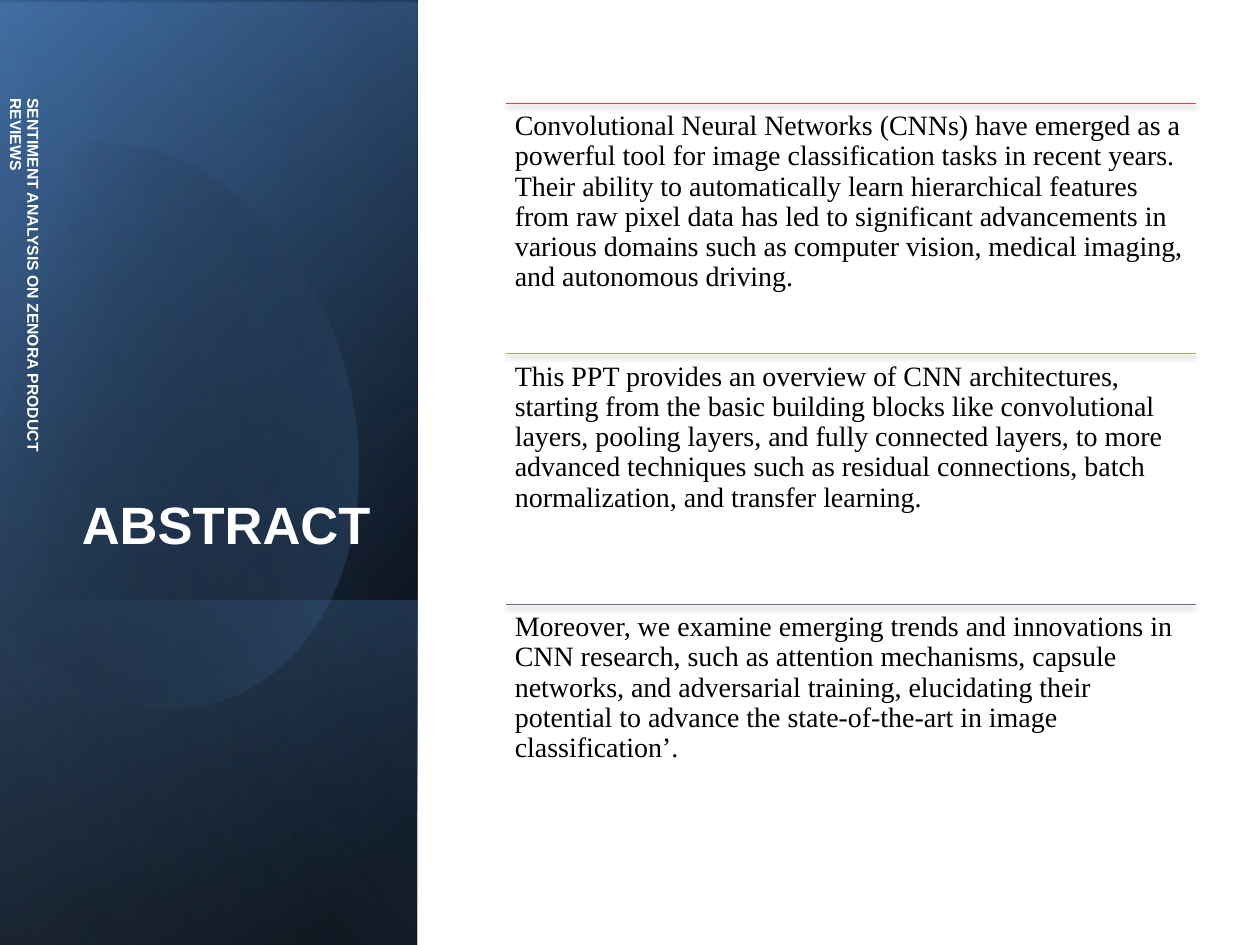
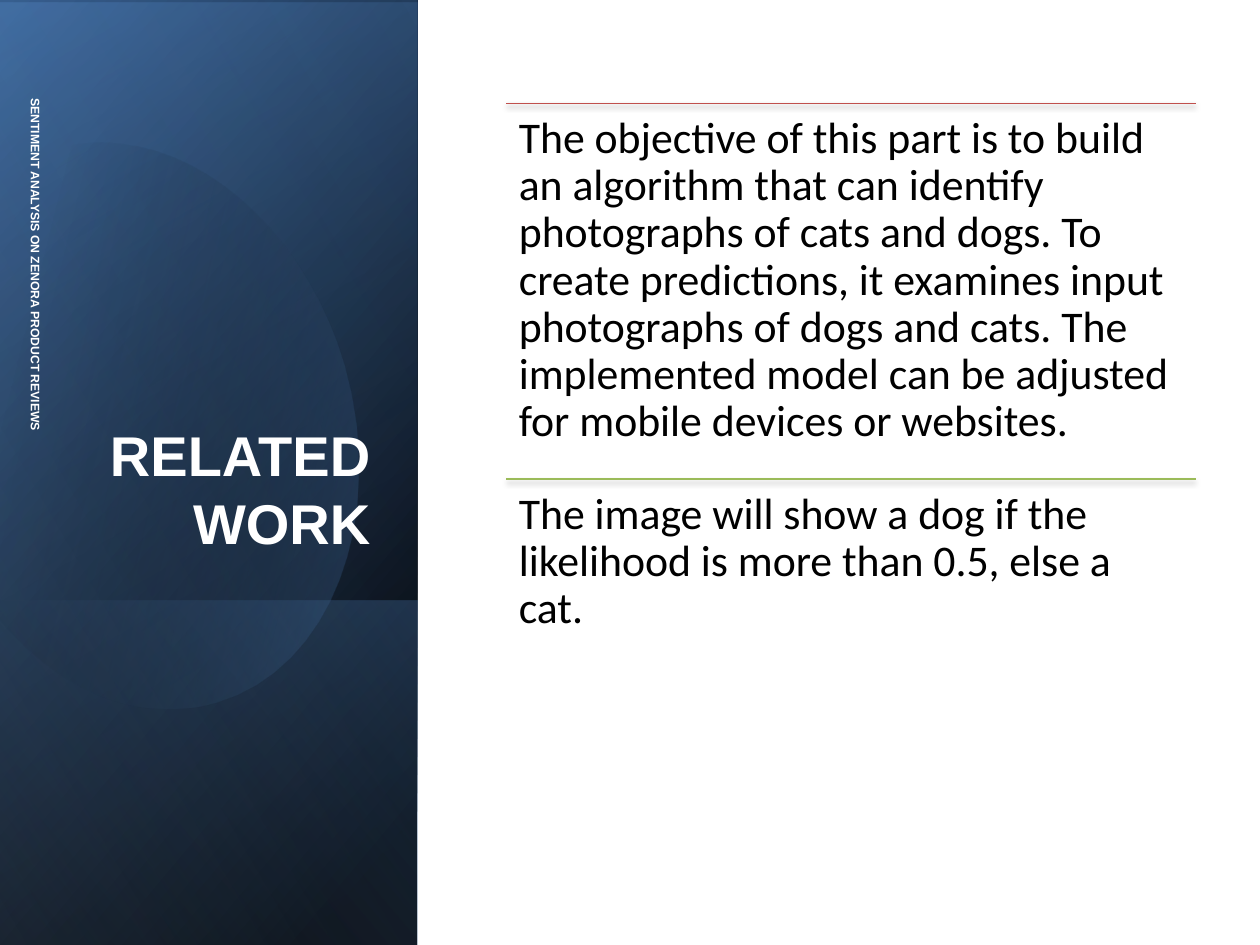
from math import cos, sin, radians
from lxml.etree import SubElement
from pptx import Presentation
from pptx.dml.color import RGBColor
from pptx.enum.shapes import MSO_CONNECTOR, MSO_SHAPE
from pptx.enum.text import MSO_ANCHOR, PP_ALIGN
from pptx.oxml import parse_xml
from pptx.oxml.ns import nsdecls, qn
from pptx.util import Cm, Pt

# Content
SIDE = "SENTIMENT ANALYSIS ON ZENORA PRODUCT REVIEWS"
SLIDES = [
    {"title": "ABSTRACT", "size": 30, "side": 9, "shift": 0,
     "font": "Times New Roman", "body": 16, "inset": 0.17,
     "rows": [
         "Convolutional Neural Networks (CNNs) have emerged as a powerful tool for "
         "image classification tasks in recent years. Their ability to automatically "
         "learn hierarchical features from raw pixel data has led to significant "
         "advancements in various domains such as computer vision, medical imaging, "
         "and autonomous driving.",
         "This PPT provides an overview of CNN architectures, starting from the basic "
         "building blocks like convolutional layers, pooling layers, and fully "
         "connected layers, to more advanced techniques such as residual connections, "
         "batch normalization, and transfer learning.",
         "Moreover, we examine emerging trends and innovations in CNN research, such "
         "as attention mechanisms, capsule networks, and adversarial training, "
         "elucidating their potential to advance the state-of-the-art in image "
         "classification’."]},
    {"title": "RELATED WORK", "size": 32, "side": 7, "shift": 0.22,
     "font": "Calibri", "body": 25, "inset": 0.25,
     "rows": [
         "The objective of this part is to build an algorithm that can identify "
         "photographs of cats and dogs. To create predictions, it examines input "
         "photographs of dogs and cats. The implemented model can be adjusted for "
         "mobile devices or websites.",
         "The image will show a dog if the likelihood is more than 0.5, else a cat."]},
]

# Shared style
HUES = {"black": "000000", "white": "FFFFFF", "navy": "376092", "blue": "4F81BD",
        "pale": "95B3D7", "red": "C0504D", "green": "9BBB59", "plum": "8064A2"}
RULES = ["red", "green", "plum"]
WIDE, HIGH, BAND = 25.4, 19.05, 8.41

# Band layers: visible box, gradient stops (place, hue, opacity), angle
BASE = [
    ((0, 0, BAND, HIGH), [(8, "black", 100), (100, "navy", 100)], 50),
    ((0, 0.05, BAND, HIGH), [(0, "black", 0), (99, "blue", 46)], 30),
    ((0, 12.1, BAND, 6.96), [(2, "blue", 29), (100, "black", 30)], 130),
]
GLAZE = ((0, 0, BAND, HIGH), [(0, "black", 0), (99, "pale", 11)], 120)

# Oval outline: two numbers make a line, six make a curve
OVAL = [(2.44, 2.9), (4.34, 3.1, 6.2, 4.88, 6.93, 7.37),
        (7.8, 10.46, 6.65, 13.49, 4.34, 14.15), (2.9, 14.58, 1.35, 13.97, 0.18, 12.7),
        (-0.08, 12.4), (-0.64, 4.22), (-0.38, 3.91),
        (0.05, 3.48, 0.56, 3.18, 1.14, 3), (1.57, 2.87, 2.01, 2.84, 2.44, 2.9)]
MID, TILT = (3.01, 8.5), 16.1
OVAL_FILL = [(29, "black", 0), (100, "blue", 43)], 30

# Text areas
TITLE = (1.22, 4.67, 6.5, 6.65)
LABEL = (-0.03, 1.73, 1.02, 8.59)
LEFT, TOP, WIDTH, DEPTH = 10.21, 2.08, 13.89, 15.15


def turn(box):
    """Give the unturned frame of a box that shows after a quarter turn."""
    x, y, w, h = box
    return x + (w - h) / 2, y + (h - w) / 2, h, w


def paint(shape, stops, angle):
    shape.shadow.inherit = False
    shape.line.fill.background()
    shape.fill.background()
    marks = "".join(
        f'<a:gs pos="{pos * 1000}"><a:srgbClr val="{HUES[hue]}">'
        f'<a:alpha val="{part * 1000}"/></a:srgbClr></a:gs>' for pos, hue, part in stops)
    grad = parse_xml(f'<a:gradFill {nsdecls("a")} rotWithShape="1"><a:gsLst>{marks}</a:gsLst>'
                     f'<a:lin ang="{angle * 60000}" scaled="0"/></a:gradFill>')
    props = shape._element.spPr
    props.replace(props.find(qn("a:noFill")), grad)


def layer(slide, box, stops, angle):
    shape = slide.shapes.add_shape(MSO_SHAPE.RECTANGLE, *map(Cm, turn(box)))
    shape.rotation = 90
    shape._element.spPr.find(qn("a:xfrm")).set("flipH", "1")
    paint(shape, stops, angle)


def trace(steps, count=16):
    """List the points along the outline."""
    dots = [steps[0]]
    for step in steps[1:]:
        if len(step) == 2:
            dots.append(step)
            continue
        knots = [dots[-1], step[:2], step[2:4], step[4:]]
        for i in range(1, count + 1):
            t = i / count
            parts = ((1 - t) ** 3, 3 * t * (1 - t) ** 2, 3 * t * t * (1 - t), t ** 3)
            dots.append(tuple(sum(p * k[axis] for p, k in zip(parts, knots))
                              for axis in (0, 1)))
    return dots


def oval(slide):
    c, s = cos(radians(TILT)), sin(radians(TILT))
    dots = []
    for x, y in trace(OVAL):
        dx, dy = x - MID[0], y - MID[1]
        dots.append((Cm(MID[0] + dx * c - dy * s), Cm(MID[1] + dx * s + dy * c)))
    pen = slide.shapes.build_freeform(*dots[0])
    pen.add_line_segments(dots[1:], close=True)
    shape = pen.convert_to_shape()
    shape.rotation = 360 - TILT
    paint(shape, *OVAL_FILL)


def write(slide, box, text, font, size, hue, bold=False):
    shape = slide.shapes.add_textbox(*map(Cm, box))
    frame = shape.text_frame
    frame.word_wrap = True
    frame.text = text
    face = frame.paragraphs[0].runs[0].font
    face.name, face.size, face.bold = font, Pt(size), bold
    face.color.rgb = RGBColor.from_string(HUES[hue])
    return shape


def rule(slide, y, hue):
    line = slide.shapes.add_connector(
        MSO_CONNECTOR.STRAIGHT, Cm(LEFT), Cm(y), Cm(LEFT + WIDTH), Cm(y))
    line.line.color.rgb = RGBColor.from_string(HUES[hue])
    line.line.width = Pt(0.75)
    glow = SubElement(line._element.spPr, qn("a:effectLst"))
    shade = SubElement(glow, qn("a:outerShdw"), blurRad=str(Pt(3.1)), dist=str(Pt(1.8)),
                       dir="5400000", rotWithShape="0")
    tint = SubElement(shade, qn("a:srgbClr"), val=HUES["black"])
    SubElement(tint, qn("a:alpha"), val="35000")


def band(slide, data):
    for part in BASE:
        layer(slide, *part)
    oval(slide)
    layer(slide, *GLAZE)
    # Title
    frame = write(slide, TITLE, data["title"], "Arial", data["size"], "white", True).text_frame
    frame.vertical_anchor = MSO_ANCHOR.BOTTOM
    frame.paragraphs[0].alignment = PP_ALIGN.RIGHT
    # Side label
    x, *rest = LABEL
    label = write(slide, turn((x + data["shift"], *rest)), SIDE, "Arial",
                  data["side"], "white", True)
    label.rotation = 90
    label.text_frame.vertical_anchor = MSO_ANCHOR.MIDDLE
    label.text_frame.paragraphs[0].line_spacing = 0.9


def body(slide, data):
    step = DEPTH / len(data["rows"])
    for i, (text, hue) in enumerate(zip(data["rows"], RULES)):
        y = TOP + i * step
        rule(slide, y, hue)
        frame = write(slide, (LEFT, y, WIDTH, step), text, data["font"],
                      data["body"], "black").text_frame
        frame.margin_left = frame.margin_right = Cm(data["inset"])
        frame.margin_top = frame.margin_bottom = Cm(data["inset"])
        frame.paragraphs[0].line_spacing = 0.9


def main():
    deck = Presentation()
    deck.slide_width, deck.slide_height = Cm(WIDE), Cm(HIGH)
    for data in SLIDES:
        slide = deck.slides.add_slide(deck.slide_layouts[6])
        band(slide, data)
        body(slide, data)
    deck.save("out.pptx")


if __name__ == "__main__":
    main()
